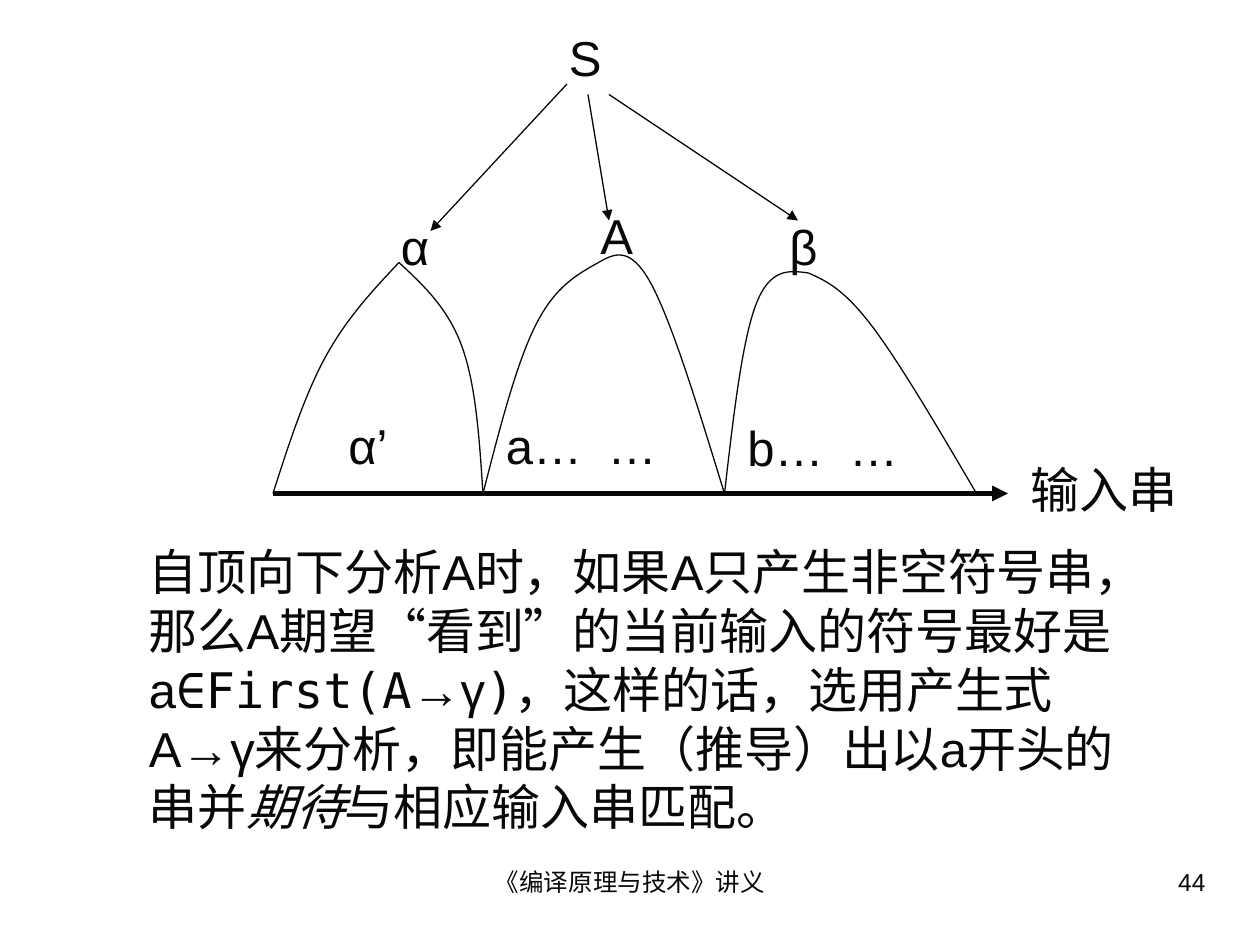
from collections import namedtuple
from dataclasses import dataclass

from lxml.etree import SubElement
from pptx import Presentation
from pptx.dml.color import RGBColor
from pptx.enum.shapes import MSO_CONNECTOR as Connector
from pptx.enum.text import PP_ALIGN as Align
from pptx.oxml.ns import qn
from pptx.util import Cm, Pt

Box = namedtuple("Box", "left top width height")


@dataclass(frozen=True)
class Theme:
    """Colours, fonts, type sizes and line widths of the slide."""
    ink: RGBColor = RGBColor(0x08, 0x08, 0x08)
    latin: str = "Arial"
    mono: str = "DejaVu Sans Mono"
    chinese: str = "Noto Sans CJK SC"
    body: int = 28
    footer: int = 14
    thin: float = 0.75
    thick: float = 3


THEME = Theme()
GRID = 2.54 / 12
LABEL_HEIGHT = 6.8
ELLIPSIS_TAB = 2.05

LABELS = [
    ("S", 27, 0, 15), ("α", 11, 18, 12), ("β", 48, 18, 12), ("A", 30, 17, 12),
    ("α’", 6, 37, 11), ("a…\t…", 21, 37, 17.5), ("b…\t…", 44, 37.2, 19),
    ("输入串", 71, 41.2, 18),
]
DERIVATIONS = [((28, 6), (15, 20)), ((30, 7), (32, 19)), ((32, 7), (50, 19))]
INPUT_AXIS = ((0, 45), (70, 45))
SUBTREE_SIDES = [
    ((12, 23), (5, 32), (0, 45)), ((12, 23), (18, 31), (20, 45)),
    ((31, 23), (25, 29), (20, 45)), ((31, 23), (36, 25), (43, 45)),
    ((51, 24), (46, 27), (43, 45)), ((51, 24), (57, 29), (67, 45)),
]
EXPLANATION = [
    ("自顶向下分析A时，如果A只产生非空符号串，那么A期望“看到”的当前输入的符号最好是a", THEME.latin, False),
    ("∈First(A", THEME.mono, False),
    ("→γ", THEME.latin, False),
    (")", THEME.mono, False),
    ("，这样的话，选用产生式", THEME.chinese, False),
    ("A→γ来分析，即能产生（推导）出以a开头的串并", THEME.latin, False),
    ("期待", THEME.latin, True),
    ("与相应输入串匹配。", THEME.latin, False),
]


def units(*values):
    """Turn grid units into lengths."""
    return [Cm(value * GRID) for value in values]


def add_text(shapes, box, runs, size=THEME.body, align=Align.LEFT):
    """Write one paragraph of (text, font, italic) runs in a box of grid units."""
    frame = shapes.add_textbox(*units(*box)).text_frame
    frame.word_wrap = True
    paragraph = frame.paragraphs[0]
    paragraph.alignment = align
    if any("\t" in text for text, _, _ in runs):
        stops = SubElement(paragraph._p.get_or_add_pPr(), qn("a:tabLst"))
        SubElement(stops, qn("a:tab"), pos=str(Cm(ELLIPSIS_TAB)), algn="l")
    font = paragraph.font
    font.size = Pt(size)
    font.color.rgb = THEME.ink
    font.name = THEME.latin
    SubElement(font._element, qn("a:ea"), typeface=THEME.chinese)
    for text, typeface, italic in runs:
        run = paragraph.add_run()
        run.text = text
        if typeface != THEME.latin:
            run.font.name = typeface
        if italic:
            run.font.italic = True


def add_arrow(shapes, box, ends, width):
    """Draw a straight arrow between two points relative to the box."""
    (x1, y1), (x2, y2) = ends
    arrow = shapes.add_connector(
        Connector.STRAIGHT,
        *units(box.left + x1, box.top + y1, box.left + x2, box.top + y2))
    arrow.line.color.rgb = THEME.ink
    arrow.line.width = Pt(width)
    SubElement(arrow.line._get_or_add_ln(), qn("a:tailEnd"), type="triangle")
    SubElement(arrow._element.spPr, qn("a:effectLst"))


def smooth_controls(start, middle, end):
    """Return the points of two Bezier pieces that pass smoothly through middle."""
    slope = [(e - s) / 6 for s, e in zip(start, end)]
    before = [m - d for m, d in zip(middle, slope)]
    after = [m + d for m, d in zip(middle, slope)]
    leaving = [(s + b) / 2 for s, b in zip(start, before)]
    arriving = [(a + e) / 2 for a, e in zip(after, end)]
    return [leaving, before, middle, after, arriving, end]


def add_curve(shapes, box, knots):
    """Draw an open smooth curve through three knots relative to the box."""
    start, *controls = [units(box.left + x, box.top + y)
                        for x, y in (knots[0], *smooth_controls(*knots))]
    builder = shapes.build_freeform(*start)
    builder.add_line_segments(controls, close=False)
    curve = builder.convert_to_shape()
    outline = next(curve._element.iter(qn("a:path")))
    segments = outline.findall(qn("a:lnTo"))
    for first in range(0, len(segments), 3):
        bezier = SubElement(outline, qn("a:cubicBezTo"))
        for segment in segments[first:first + 3]:
            bezier.append(segment[0])
            outline.remove(segment)
    curve.shadow.inherit = False
    curve.fill.background()
    curve.line.color.rgb = THEME.ink
    curve.line.width = Pt(THEME.thin)


def add_derivation_tree(slide, box):
    """Draw the derivation from S down to the input string."""
    shapes = slide.shapes.add_group_shape().shapes
    for ends in DERIVATIONS:
        add_arrow(shapes, box, ends, THEME.thin)
    add_arrow(shapes, box, INPUT_AXIS, THEME.thick)
    for knots in SUBTREE_SIDES:
        add_curve(shapes, box, knots)
    for text, x, y, width in LABELS:
        place = Box(box.left + x, box.top + y, width, LABEL_HEIGHT)
        add_text(shapes, place, [(text, THEME.latin, False)])


def add_explanation(slide, box):
    """Write the paragraph below the tree."""
    add_text(slide.shapes, box, EXPLANATION)


def add_footer(slide, box):
    """Write the lecture title and the page number."""
    title = Box(box.left, box.top, 38, box.height)
    page = Box(box.left + box.width - 30, box.top, 30, box.height)
    for place, text, align in ((title, "《编译原理与技术》讲义", Align.CENTER),
                               (page, "44", Align.RIGHT)):
        add_text(slide.shapes, place, [(text, THEME.latin, False)], THEME.footer, align)


def main():
    """Build and save the slide."""
    deck = Presentation()
    deck.slide_width, deck.slide_height = Cm(25.4), Cm(19.05)
    slide = deck.slides.add_slide(deck.slide_layouts[6])
    add_footer(slide, Box(41, 82, 75, 6.2))
    add_derivation_tree(slide, Box(26, 2, 89, 48))
    add_explanation(slide, Box(13, 51, 95, 29.3))
    deck.save("out.pptx")


if __name__ == "__main__":
    main()
